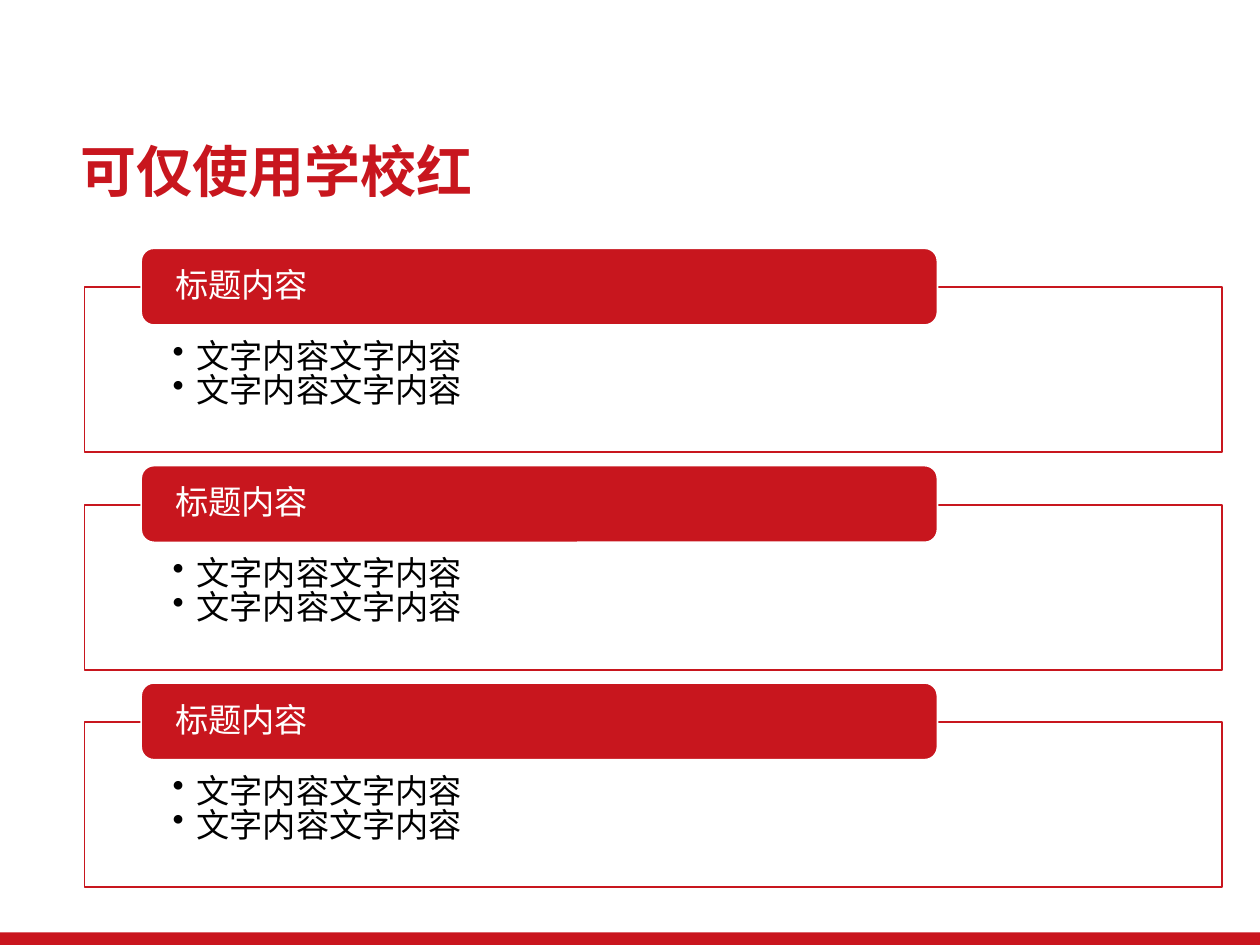
from dataclasses import dataclass

from lxml.etree import SubElement
from pptx import Presentation
from pptx.dml.color import RGBColor
from pptx.enum.shapes import MSO_SHAPE
from pptx.enum.text import MSO_ANCHOR, PP_ALIGN
from pptx.oxml.ns import qn
from pptx.util import Inches, Pt

FONT = "Noto Sans CJK SC"
RED, WHITE, BLACK = "C8161E", "FFFFFF", "000000"
FIRST_TOP, STEP = 2.28, 1.725


@dataclass
class Section:
    heading: str
    points: list[str]


SECTIONS = [Section("标题内容", ["文字内容文字内容"] * 2) for _ in range(3)]


def rgb(color: str) -> RGBColor:
    return RGBColor.from_string(color)


def add_box(s, kind, left: float, top: float, width: float, height: float,
            fill: str, line: str | None = None):
    sp = s.shapes.add_shape(kind, Inches(left), Inches(top),
                            Inches(width), Inches(height))
    sp.shadow.inherit = False
    sp.fill.solid()
    sp.fill.fore_color.rgb = rgb(fill)
    if line:
        sp.line.color.rgb = rgb(line)
        sp.line.width = Pt(1)
    else:
        sp.line.fill.background()
    return sp


def set_text(sp, text: str, size: float, color: str, anchor, insets: tuple,
             spacing: float = 0.9, bold: bool = False) -> None:
    tf = sp.text_frame
    tf.text = text
    tf.word_wrap = True
    tf.vertical_anchor = anchor
    (tf.margin_left, tf.margin_top,
     tf.margin_right, tf.margin_bottom) = map(Inches, insets)
    for p in tf.paragraphs:
        p.alignment = PP_ALIGN.LEFT
        p.line_spacing = spacing
        for r in p.runs:
            r.font.size = Pt(size)
            r.font.bold = bold
            r.font.name = FONT
            r.font.color.rgb = rgb(color)
            SubElement(r.font._element, qn("a:ea")).set("typeface", FONT)


def add_bullets(sp) -> None:
    for p in sp.text_frame.paragraphs:
        pPr = p._p.get_or_add_pPr()
        pPr.set("marL", str(Inches(0.19)))
        pPr.set("indent", str(Inches(-0.19)))
        SubElement(pPr, qn("a:buChar")).set("char", "•")


def add_section(s, section: Section, top: float) -> None:
    # Outlined body with bullets
    body = add_box(s, MSO_SHAPE.RECTANGLE, 0.67, top, 9.03, 1.31, WHITE, RED)
    color = body.fill._xPr.find(qn("a:solidFill"))[0]
    SubElement(color, qn("a:alpha")).set("val", "90000")
    set_text(body, "\n".join(section.points), 19, BLACK, MSO_ANCHOR.TOP,
             (0.7, 0.43, 0.7, 0.15), spacing=0.85)
    add_bullets(body)

    # Heading tab over the top edge
    tab = add_box(s, MSO_SHAPE.ROUNDED_RECTANGLE, 1.12, top - 0.31, 6.32, 0.61,
                  RED, WHITE)
    set_text(tab, section.heading, 19, WHITE, MSO_ANCHOR.MIDDLE,
             (0.24, 0, 0.24, 0))


def main() -> None:
    prs = Presentation()
    prs.slide_width, prs.slide_height = Inches(10), Inches(7.5)
    s = prs.slides.add_slide(prs.slide_layouts[6])

    # Footer band
    add_box(s, MSO_SHAPE.RECTANGLE, 0, 7.4, 10, 0.1, "C9151E")

    # Title
    title = s.shapes.add_textbox(Inches(0.54), Inches(1.07),
                                 Inches(9.16), Inches(0.63))
    set_text(title, "可仅使用学校红", 32, RED, MSO_ANCHOR.MIDDLE,
             (0.1, 0.05, 0.1, 0.05), bold=True)

    # Sections
    for i, section in enumerate(SECTIONS):
        add_section(s, section, FIRST_TOP + i * STEP)

    prs.save("out.pptx")


if __name__ == "__main__":
    main()
